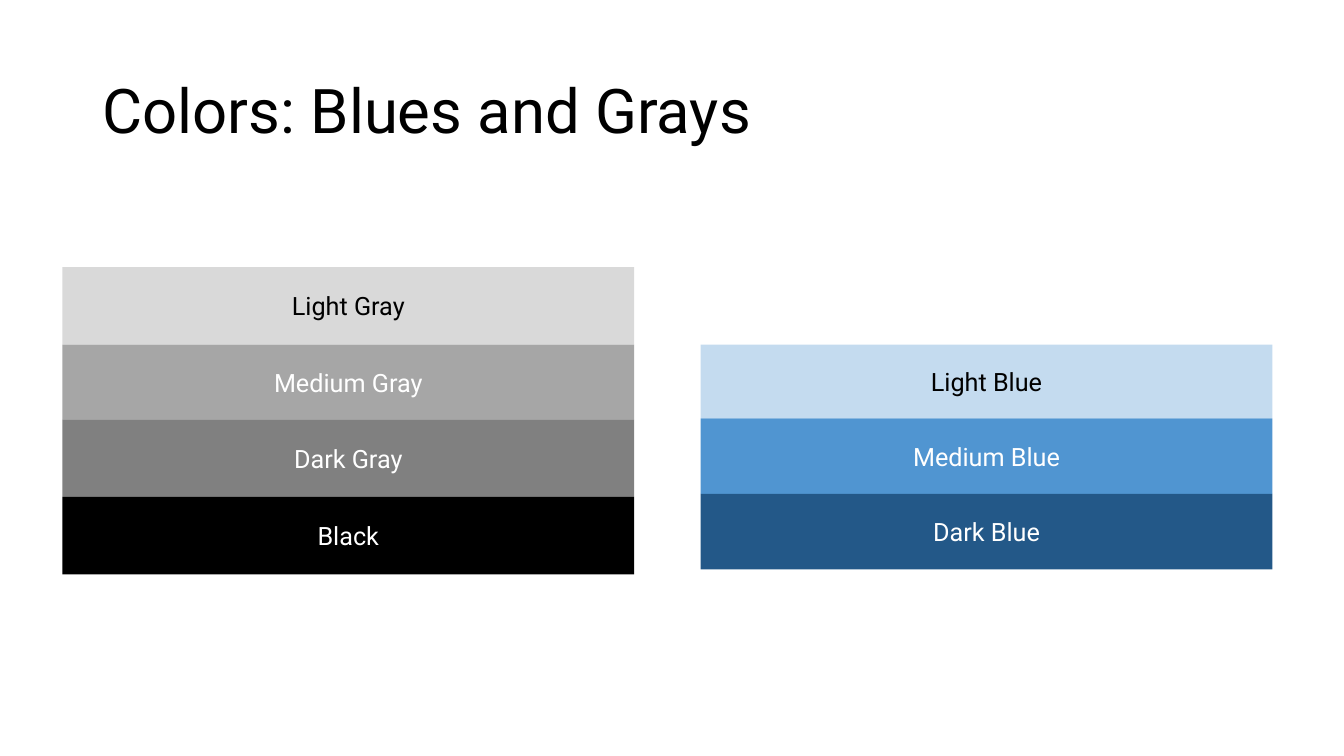
from dataclasses import dataclass

from pptx import Presentation
from pptx.dml.color import RGBColor as RGB
from pptx.enum.shapes import MSO_SHAPE as Shape
from pptx.enum.text import MSO_ANCHOR as Anchor, PP_ALIGN as Align
from pptx.util import Inches, Pt


@dataclass
class Theme:
    font: str = "Roboto"
    title: int = 44
    label: int = 18
    black: str = "000000"
    white: str = "FFFFFF"
    light_gray: str = "D9D9D9"
    mid_gray: str = "A6A6A6"
    dark_gray: str = "808080"
    light_blue: str = "C4DBEF"
    mid_blue: str = "5095D1"
    dark_blue: str = "235888"


theme = Theme()


def write(shape, text, size, color):
    frame = shape.text_frame
    frame.word_wrap = True
    frame.vertical_anchor = Anchor.MIDDLE
    para = frame.paragraphs[0]
    para.text = text
    para.font.name = theme.font
    para.font.size = Pt(size)
    para.font.color.rgb = RGB.from_string(color)
    return para


deck = Presentation()
deck.slide_width = Inches(13.33)
deck.slide_height = Inches(7.5)
slide = deck.slides.add_slide(deck.slide_layouts[6])

# Title
title = slide.shapes.add_textbox(Inches(0.92), Inches(0.4), Inches(11.5), Inches(1.45))
para = write(title, "Colors: Blues and Grays", theme.title, theme.black)
para.line_spacing = 0.9

# Stacks of swatches: left, top, then label, fill, text color and height
stacks = [
    (0.62, 2.65, [
        ("Light Gray", theme.light_gray, theme.black, 0.77),
        ("Medium Gray", theme.mid_gray, theme.white, 0.74),
        ("Dark Gray", theme.dark_gray, theme.white, 0.77),
        ("Black", theme.black, theme.white, 0.77),
    ]),
    (6.95, 3.42, [
        ("Light Blue", theme.light_blue, theme.black, 0.73),
        ("Medium Blue", theme.mid_blue, theme.white, 0.75),
        ("Dark Blue", theme.dark_blue, theme.white, 0.75),
    ]),
]
for left, top, rows in stacks:
    for label, fill, color, height in rows:
        swatch = slide.shapes.add_shape(
            Shape.RECTANGLE, Inches(left), Inches(top), Inches(5.67), Inches(height))
        swatch.shadow.inherit = False
        swatch.fill.solid()
        swatch.fill.fore_color.rgb = RGB.from_string(fill)
        swatch.line.fill.background()
        write(swatch, label, theme.label, color).alignment = Align.CENTER
        top += height

deck.save("out.pptx")
